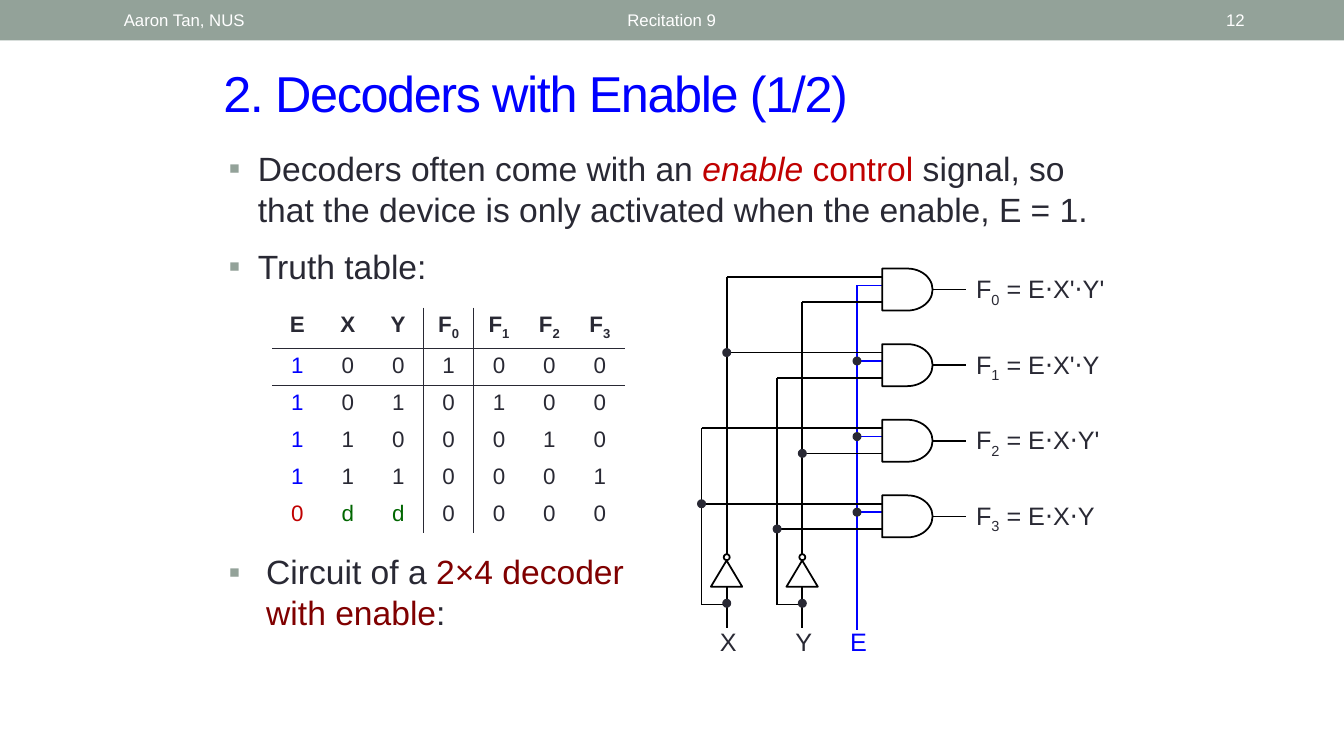
from lxml.etree import SubElement
from pptx import Presentation
from pptx.dml.color import RGBColor
from pptx.enum.shapes import MSO_CONNECTOR as Connector, MSO_SHAPE as Preset
from pptx.enum.text import MSO_ANCHOR as Anchor, PP_ALIGN as Align
from pptx.oxml.ns import qn
from pptx.util import Cm, Pt

THEME = {
    "font": "Arial",
    "ink": "292934", "band": "93A299", "white": "FFFFFF", "blue": "0000FF",
    "red": "C00000", "maroon": "800000", "green": "006600", "wire": "000000",
    "title": 36, "body": 24, "label": 18, "table": 16, "header": 12,
    "wire_width": 1.25, "dot_width": 0.75, "rule_width": 1,
}

# Text runs: (text, style)
HEADER = [  # text, left, width, alignment
    ("Aaron Tan, NUS", 2.87, 8.05, Align.LEFT),
    ("Recitation 9", 7.67, 18.52, Align.CENTER),
    ("12", 29.21, 2.41, Align.RIGHT),
]
TITLE = [("2. Decoders with Enable (1/2)", {"color": "blue", "spacing": -1})]
INTRO = [
    [("Decoders often come with an ", {}),
     ("enable", {"color": "red", "italic": True}),
     (" control ", {"color": "red"}),
     ("signal, so that the device is only activated when the enable, E = 1.", {})],
    [("Truth table:", {})],
]
CIRCUIT_NOTE = [[("Circuit of a ", {}),
                 ("2×4 decoder with enable", {"color": "maroon"}),
                 (":", {})]]
TABLE_HEADS = ["E", "X", "Y", "F0", "F1", "F2", "F3"]
TABLE_ROWS = ["1001000", "1010100", "1100010", "1110001", "0dd0000"]
RULED_ROWS, RULED_COLUMNS = (0, 1), (2, 3)  # a rule follows each of these
PRODUCTS = ["E⋅X'⋅Y'", "E⋅X'⋅Y", "E⋅X⋅Y'", "E⋅X⋅Y"]

# Circuit grid: positions are counted in cells from the top left wire corner
CELL = Cm(1.27) / 2
ORIGIN_X, ORIGIN_Y = Cm(17.68), Cm(6.98)
X_RAILS, Y_RAILS = (1, 0), (4, 3)  # columns of the (inverted, plain) signals
ENABLE_COLUMN, GATE_LEFT, GATE_RIGHT, OUTPUT_END = 6.17, 7.17, 9.17, 10.5
GATE_STEP, GATE_HEIGHT = 3, 5 / 3
BUBBLE_ROW, INVERTER_ROW, INVERTER_END, BRANCH_ROW, INPUT_END = 11, 11.25, 12.27, 13, 13.92
LABEL_ROW = 13.68

presentation = Presentation()
presentation.slide_width, presentation.slide_height = Cm(33.87), Cm(19.05)
slide = presentation.slides.add_slide(presentation.slide_layouts[6])


def rgb(name):
    return RGBColor.from_string(THEME[name])


def grid(column, row):
    return round(ORIGIN_X + column * CELL), round(ORIGIN_Y + row * CELL)


def add_runs(paragraph, runs, size):
    for text, style in runs:
        run = paragraph.add_run()
        run.text = text
        font = run.font
        font.name, font.size = THEME["font"], Pt(THEME[size])
        font.bold, font.italic = style.get("bold", False), style.get("italic", False)
        font.color.rgb = rgb(style.get("color", "ink"))
        properties = run._r.get_or_add_rPr()
        if style.get("subscript"):
            properties.set("baseline", "-25000")
        if "spacing" in style:
            properties.set("spc", str(style["spacing"] * 100))


def add_text(left, top, width, height, paragraphs, size,
             align=Align.LEFT, anchor=Anchor.TOP, hanging=None):
    """Add a text box; a hanging indent also gives its paragraphs square bullets."""
    frame = slide.shapes.add_textbox(left, top, width, height).text_frame
    frame.word_wrap, frame.vertical_anchor = True, anchor
    for index, runs in enumerate(paragraphs):
        paragraph = frame.add_paragraph() if index else frame.paragraphs[0]
        if hanging:
            properties = paragraph._p.get_or_add_pPr()
            properties.set("marL", str(hanging))
            properties.set("indent", str(-hanging))
            color = SubElement(properties, qn("a:buClr"))
            SubElement(color, qn("a:srgbClr"), val=THEME["band"])
            SubElement(properties, qn("a:buFont"), typeface=THEME["font"])
            SubElement(properties, qn("a:buChar"), char="▪")
        paragraph.alignment = align
        if index:
            paragraph.space_before = Pt(THEME[size] / 2)
        add_runs(paragraph, runs, size)


def add_outline(preset, left, top, width, height, fill=None, line="wire", weight="wire_width"):
    shape = slide.shapes.add_shape(preset, left, top, width, height)
    shape.shadow.inherit = False
    if fill:
        shape.fill.solid()
        shape.fill.fore_color.rgb = rgb(fill)
    else:
        shape.fill.background()
    if line:
        shape.line.color.rgb, shape.line.width = rgb(line), Pt(THEME[weight])
    else:
        shape.line.fill.background()
    return shape


def add_wire(start, end, color="wire"):
    wire = slide.shapes.add_connector(Connector.STRAIGHT, *grid(*start), *grid(*end))
    wire.line.color.rgb, wire.line.width = rgb(color), Pt(THEME["wire_width"])
    SubElement(wire._element.spPr, qn("a:effectLst"))
    return wire


def add_circle(column, row, diameter, **style):
    x, y = grid(column, row)
    add_outline(Preset.OVAL, x - diameter // 2, y - diameter // 2, diameter, diameter, **style)


def add_junction(column, row):
    add_circle(column, row, Cm(0.2), fill="ink", line="ink", weight="dot_width")


def set_rules(cell, row, column):
    """Draw the ruled sides of a table cell and clear the others."""
    ruled = {"a:lnL": column - 1 in RULED_COLUMNS, "a:lnR": column in RULED_COLUMNS,
             "a:lnT": row - 1 in RULED_ROWS, "a:lnB": row in RULED_ROWS}
    properties = cell._tc.get_or_add_tcPr()
    for side, drawn in ruled.items():
        line = SubElement(properties, qn(side), w=str(Pt(THEME["rule_width"])))
        fill = SubElement(line, qn("a:solidFill" if drawn else "a:noFill"))
        if drawn:
            SubElement(fill, qn("a:srgbClr"), val=THEME["ink"])


def cell_runs(text, row, column):
    if row == 0:
        bold = {"bold": True}
        return [(letter, {**bold, "subscript": letter.isdigit()}) for letter in text]
    color = "ink"
    if column == 0:
        color = "blue" if text == "1" else "red"
    elif text == "d":
        color = "green"
    return [(text, {"color": color})]


def add_truth_table():
    rows = [TABLE_HEADS, *TABLE_ROWS]
    frame = slide.shapes.add_table(len(rows), len(TABLE_HEADS), Cm(6.86), Cm(7.75),
                                   Cm(8.89), Cm(5.58))
    table = frame.table
    table.first_row = table.horz_banding = False
    for r, values in enumerate(rows):
        table.rows[r].height = Cm(0.93)
        for c, text in enumerate(values):
            cell = table.cell(r, c)
            set_rules(cell, r, c)
            cell.fill.background()
            paragraph = cell.text_frame.paragraphs[0]
            paragraph.alignment = Align.CENTER
            add_runs(paragraph, cell_runs(text, r, c), "table")


def add_input(name, rails, first_row):
    """Draw an input with its inverter and its inverted and plain rails."""
    inverted, plain = rails
    add_wire((inverted, first_row), (inverted, BUBBLE_ROW))
    add_wire((plain, first_row + (6 if name == "X" else 3)), (plain, BRANCH_ROW))
    add_wire((plain, BRANCH_ROW), (inverted, BRANCH_ROW))
    add_wire((inverted, INVERTER_END), (inverted, INPUT_END))
    x, y = grid(inverted, INVERTER_ROW)
    triangle = add_outline(Preset.FLOWCHART_MERGE, x - Cm(0.4), y, Cm(0.79), Cm(0.66))
    triangle.rotation = 180
    add_circle(inverted, BUBBLE_ROW + 0.12, Cm(0.15))
    add_junction(inverted, BRANCH_ROW - 0.05)
    add_text(*grid(inverted - 0.67, LABEL_ROW), Cm(1.06), Cm(1.02), [[(name, {})]], "label")


def add_gate(index, product):
    top = index * GATE_STEP
    enable_row, output_row = top + 1 / 3, top + 0.5
    x_rail, y_rail = X_RAILS[index >> 1], Y_RAILS[index & 1]
    add_wire((x_rail, top), (GATE_LEFT, top))
    add_wire((y_rail, top + 1), (GATE_LEFT, top + 1))
    add_wire((ENABLE_COLUMN, enable_row), (GATE_LEFT, enable_row), "blue")
    gate = add_outline(Preset.FLOWCHART_DELAY, *grid(GATE_LEFT, top - 1 / 3),
                       Cm(1.27), round(GATE_HEIGHT * CELL))
    output = add_wire((GATE_RIGHT, output_row), (OUTPUT_END, output_row))
    output.begin_connect(gate, 3)
    if index in (1, 3):
        add_junction(x_rail, top)
    if index in (2, 3):
        add_junction(y_rail, top + 1)
    if index:
        add_junction(ENABLE_COLUMN, enable_row)
    runs = [("F", {}), (str(index), {"subscript": True}), (" = " + product, {})]
    add_text(*grid(OUTPUT_END, top - 1 / 3), Cm(4.02), Cm(1.02), [runs], "label")


add_outline(Preset.RECTANGLE, 0, 0, presentation.slide_width, Cm(1.02), fill="band", line=None)
for text, left, width, align in HEADER:
    add_text(Cm(left), Cm(0.05), Cm(width), Cm(0.91), [[(text, {"color": "white"})]],
             "header", align, Anchor.MIDDLE)
add_text(Cm(5.38), Cm(1.45), Cm(23.77), Cm(1.78), [TITLE], "title", anchor=Anchor.MIDDLE)
add_text(Cm(5.51), Cm(3.61), Cm(22.86), Cm(4.01), INTRO, "body", hanging=Cm(0.74))
add_text(Cm(5.51), Cm(13.77), Cm(10.8), Cm(2.74), CIRCUIT_NOTE, "body", hanging=Cm(0.95))
add_truth_table()

add_input("X", X_RAILS, 0)
add_input("Y", Y_RAILS, 1)
add_wire((ENABLE_COLUMN, 1 / 3), (ENABLE_COLUMN, 14), "blue")
add_text(*grid(ENABLE_COLUMN - 0.67, LABEL_ROW), Cm(1.06), Cm(1.02),
         [[("E", {"color": "blue"})]], "label")
for index, product in enumerate(PRODUCTS):
    add_gate(index, product)

presentation.save("out.pptx")
